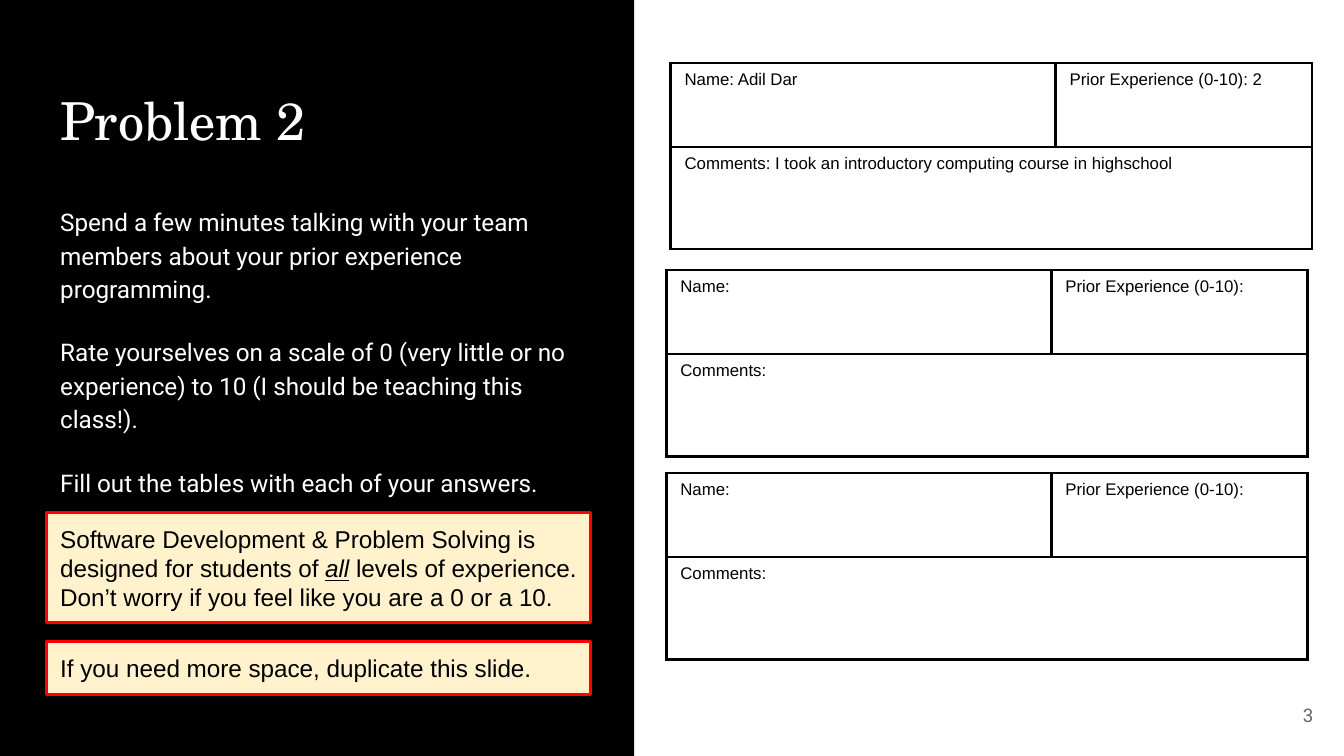
from dataclasses import dataclass
from typing import Any

from pptx import Presentation
from pptx.dml.color import RGBColor
from pptx.enum.shapes import MSO_SHAPE as SHAPE
from pptx.enum.text import MSO_ANCHOR as ANCHOR, MSO_AUTO_SIZE as AUTO, PP_ALIGN as ALIGN
from pptx.oxml import parse_xml
from pptx.oxml.ns import nsdecls
from pptx.util import Emu, Pt

EMU_PER_PX = 9525


def px(n):
    return Emu(n * EMU_PER_PX)


def color(value):
    return RGBColor.from_string(value)


@dataclass
class Deck:
    slide: Any
    serif: str = "TeX Gyre Schola"
    sans: str = "Roboto"
    plain: str = "Arial"
    ink: str = "000000"
    paper: str = "FFFFFF"
    muted: str = "666666"
    note_fill: str = "FFF2CC"
    note_line: str = "FF0000"

    def place(self, sp, box):
        sp.left, sp.top, sp.width, sp.height = map(px, box)

    def frame(self, tf, anchor=ANCHOR.TOP):
        tf.word_wrap = True
        tf.auto_size = AUTO.NONE
        tf.vertical_anchor = anchor
        tf.margin_left = tf.margin_right = tf.margin_top = tf.margin_bottom = px(10)

    def font(self, p, name, size, ink, align=ALIGN.LEFT):
        p.alignment = align
        for r in p.runs:
            r.font.name = name
            r.font.size = Pt(size)
            r.font.color.rgb = color(ink)

    def rect(self, box, fill, line=None):
        sp = self.slide.shapes.add_shape(SHAPE.RECTANGLE, *map(px, box))
        sp.shadow.inherit = False
        sp.fill.solid()
        sp.fill.fore_color.rgb = color(fill)
        if line:
            sp.line.color.rgb = color(line)
            sp.line.width = Pt(1.5)
        else:
            sp.line.fill.background()
        return sp

    def panel(self, box):
        sp = self.rect(box, self.ink)
        sp.element.getparent().insert(2, sp.element)

    def title(self, box, text):
        sp = self.slide.shapes.title
        self.place(sp, box)
        tf = sp.text_frame
        tf.text = text
        self.frame(tf)
        self.font(tf.paragraphs[0], self.serif, 28, self.paper)

    def body(self, box, lines):
        sp = self.slide.placeholders[1]
        self.place(sp, box)
        tf = sp.text_frame
        tf.text = "\n".join(lines)
        self.frame(tf)
        for i, p in enumerate(tf.paragraphs):
            pPr = p._p.get_or_add_pPr()
            pPr.set("marL", "0")
            pPr.set("indent", "0")
            p.line_spacing = 1.15
            p.space_before = Pt(16 if i else 0)
            pPr.append(parse_xml(f"<a:buNone {nsdecls('a')}/>"))
            self.font(p, self.sans, 13, self.paper)

    def note(self, box, parts, stressed=None):
        tf = self.rect(box, self.note_fill, self.note_line).text_frame
        self.frame(tf, ANCHOR.MIDDLE)
        p = tf.paragraphs[0]
        for part in parts:
            r = p.add_run()
            r.text = part
            if part == stressed:
                r.font.italic = r.font.underline = True
        self.font(p, self.plain, 13, self.ink)

    def page_number(self, box, text):
        tf = self.slide.shapes.add_textbox(*map(px, box)).text_frame
        tf.text = text
        self.frame(tf, ANCHOR.MIDDLE)
        self.font(tf.paragraphs[0], self.sans, 10, self.muted, ALIGN.RIGHT)

    def cell(self, cell, text):
        cell.text = text
        cell.margin_left = cell.margin_right = px(10)
        cell.margin_top = cell.margin_bottom = px(5)
        self.font(cell.text_frame.paragraphs[0], self.plain, 9, self.ink)
        tcPr = cell._tc.get_or_add_tcPr()
        for side in ("lnL", "lnR", "lnT", "lnB"):
            tcPr.append(parse_xml(
                f'<a:{side} {nsdecls("a")} w="{Pt(1.5)}"><a:solidFill>'
                f'<a:srgbClr val="{self.ink}"/></a:solidFill></a:{side}>'))
        cell.fill.background()

    def answer_table(self, left, top, name="", rating="", comments=""):
        cols, rows = (275, 183), (60, 73)
        box = (left, top, sum(cols), sum(rows))
        table = self.slide.shapes.add_table(2, 2, *map(px, box)).table
        table.first_row = table.horz_banding = False
        for col, width in zip(table.columns, cols):
            col.width = px(width)
        for row, height in zip(table.rows, rows):
            row.height = px(height)
        table.cell(1, 0).merge(table.cell(1, 1))
        texts = (f"Name: {name}", f"Prior Experience (0-10): {rating}", f"Comments: {comments}", "")
        for cell, text in zip(table.iter_cells(), texts):
            self.cell(cell, text.strip())


def main():
    prs = Presentation()
    prs.slide_width, prs.slide_height = px(960), px(540)
    deck = Deck(prs.slides.add_slide(prs.slide_layouts[1]))
    left, width = 33, 389

    deck.panel((0, 0, 453, 540))
    deck.title((left, 53, width, 67), "Problem 2")
    deck.page_number((890, 490, 58, 41), "3")
    deck.body((left, 135, width, 228), (
        "Spend a few minutes talking with your team members about your prior experience programming.",
        "Rate yourselves on a scale of 0 (very little or no experience) to 10 "
        "(I should be teaching this class!).",
        "Fill out the tables with each of your answers."))
    deck.note((left, 366, width, 79), (
        "Software Development & Problem Solving is designed for students of ",
        "all",
        " levels of experience. Don’t worry if you feel like you are a 0 or a 10."), "all")
    deck.answer_table(479, 45, "Adil Dar", "2",
                      "I took an introductory computing course in highschool")
    for top in (193, 338):
        deck.answer_table(476, top)
    deck.note((left, 458, width, 38), ("If you need more space, duplicate this slide.",))
    prs.save("out.pptx")


if __name__ == "__main__":
    main()
